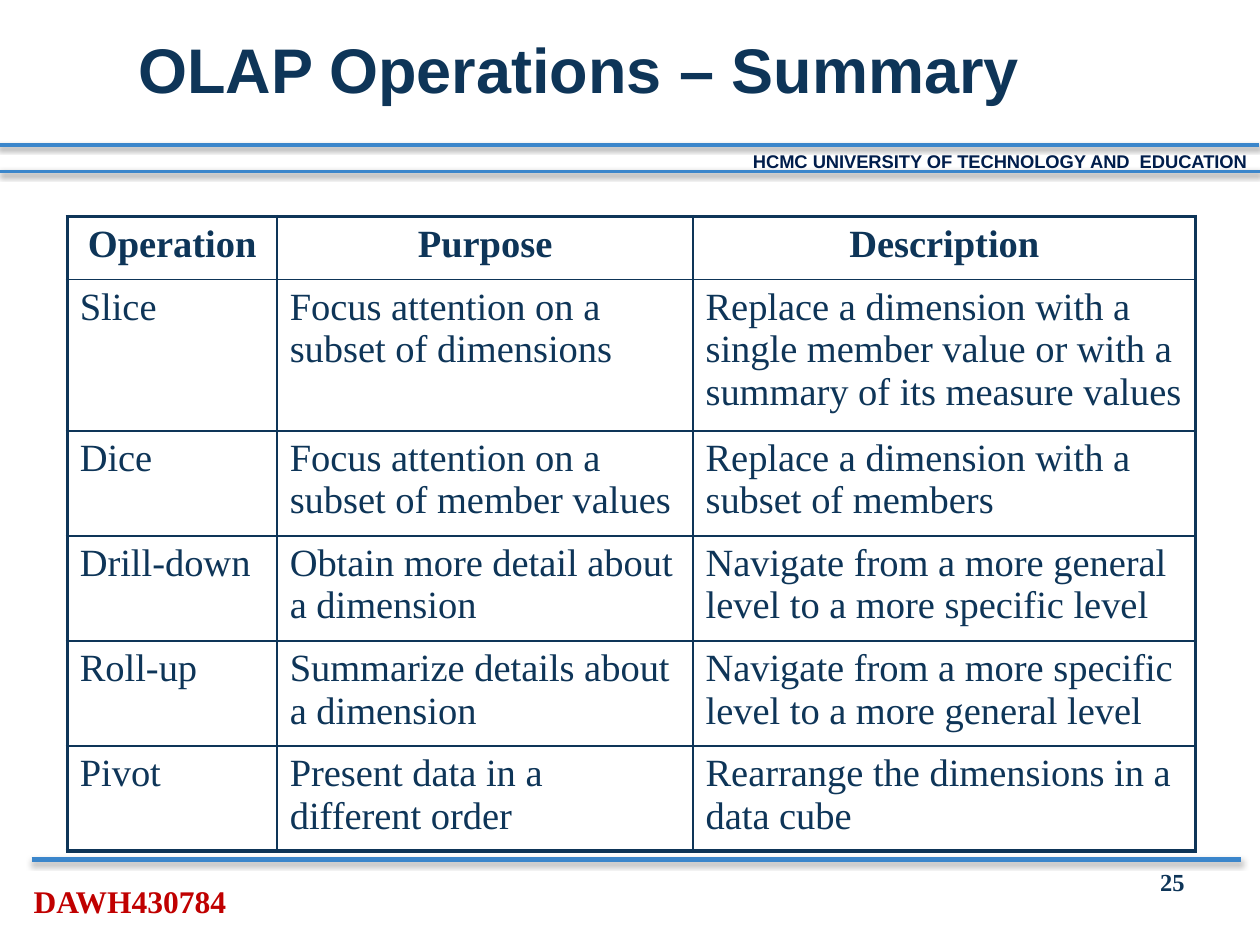
"""Build the OLAP operations summary slide."""
from dataclasses import dataclass
from typing import NamedTuple

from lxml.etree import SubElement
from pptx import Presentation
from pptx.dml.color import RGBColor
from pptx.enum.shapes import MSO_CONNECTOR as Connector
from pptx.enum.text import MSO_ANCHOR as Anchor
from pptx.enum.text import PP_ALIGN as Align
from pptx.oxml.ns import qn
from pptx.slide import Slide
from pptx.table import _Cell as Cell
from pptx.text.text import _Paragraph as Paragraph
from pptx.util import Pt

NAVY = RGBColor(0x0E, 0x35, 0x58)
DEEP_BLUE = RGBColor(0x00, 0x1D, 0x4B)
SKY = RGBColor(0x3B, 0x86, 0xCB)
RED = RGBColor(0xC0, 0x00, 0x00)
WHITE = RGBColor(0xFF, 0xFF, 0xFF)
BLACK = RGBColor(0x00, 0x00, 0x00)
SANS, SERIF = "Arial", "Times New Roman"
OUTER, INNER = 2.25, 1


@dataclass(frozen=True)
class Style:
    size: float
    font: str = SERIF
    color: RGBColor = NAVY
    bold: bool = True
    align: Align = Align.LEFT


@dataclass(frozen=True)
class Label:
    text: str
    left: float
    top: float
    width: float
    height: float
    style: Style
    anchor: Anchor = Anchor.TOP
    margin_top: float = 3.6


class Rule(NamedTuple):
    left: float
    right: float
    y: float
    weight: float
    shadow_opacity: int
    shadow_distance: float


class Operation(NamedTuple):
    name: str
    purpose: str
    description: str


RULES = [
    Rule(-0.7, 719.3, 82.8, 2, 38, 1.6),
    Rule(0, 720, 97.9, 2, 38, 1.6),
    Rule(18, 709.2, 491, 3, 35, 1.8),
]
LABELS = [
    Label("HCMC UNIVERSITY OF TECHNOLOGY AND  EDUCATION", 121, 85.7, 599, 15.8,
          Style(10.5, SANS, DEEP_BLUE, align=Align.RIGHT), margin_top=0),
    Label("DAWH430784", 12.2, 500.4, 144, 28.8, Style(18, color=RED)),
    Label("OLAP Operations – Summary", 72, 0, 612, 77.8, Style(36, SANS), Anchor.MIDDLE),
    Label("25", 516.2, 491.8, 167.8, 37.4, Style(14, align=Align.RIGHT)),
]
OPERATIONS = [
    Operation("Operation", "Purpose", "Description"),
    Operation("Slice", "Focus attention on a subset of dimensions",
              "Replace a dimension with a single member value or with a "
              "summary of its measure values"),
    Operation("Dice", "Focus attention on a subset of member values",
              "Replace a dimension with a subset of members"),
    Operation("Drill-down", "Obtain more detail about a dimension",
              "Navigate from a more general level to a more specific level"),
    Operation("Roll-up", "Summarize details about a dimension",
              "Navigate from a more specific level to a more general level"),
    Operation("Pivot", "Present data in a different order",
              "Rearrange the dimensions in a data cube"),
]
COLUMN_WIDTHS = [120, 237.6, 287.3]
ROW_HEIGHTS = [36, 80.5] + [56] * 4
HEADING = Style(22, align=Align.CENTER)
BODY = Style(22, bold=False)


def apply_style(paragraph: Paragraph, style: Style) -> None:
    """Format a paragraph and its runs."""
    paragraph.alignment = style.align
    for run in paragraph.runs:
        run.font.size = Pt(style.size)
        run.font.name = style.font
        run.font.bold = style.bold
        run.font.color.rgb = style.color


def draw_rule(slide: Slide, rule: Rule) -> None:
    """Draw a horizontal rule with a soft shadow below it."""
    stroke = slide.shapes.add_connector(
        Connector.STRAIGHT, Pt(rule.left), Pt(rule.y), Pt(rule.right), Pt(rule.y))
    stroke.line.color.rgb = SKY
    stroke.line.width = Pt(rule.weight)
    effects = SubElement(stroke._element.spPr, qn("a:effectLst"))
    shadow = SubElement(effects, qn("a:outerShdw"), blurRad=str(Pt(3.1)),
                        dist=str(Pt(rule.shadow_distance)), dir="5400000", rotWithShape="0")
    tint = SubElement(shadow, qn("a:srgbClr"), val=str(BLACK))
    SubElement(tint, qn("a:alpha"), val=str(rule.shadow_opacity * 1000))


def draw_label(slide: Slide, label: Label) -> None:
    """Draw one line of text in its box."""
    frame = slide.shapes.add_textbox(
        Pt(label.left), Pt(label.top), Pt(label.width), Pt(label.height)).text_frame
    frame.word_wrap = True
    frame.vertical_anchor = label.anchor
    frame.margin_top = Pt(label.margin_top)
    frame.text = label.text
    apply_style(frame.paragraphs[0], label.style)


def set_borders(cell: Cell, weights: dict[str, float]) -> None:
    """Give each named side of a cell its line weight."""
    properties = cell._tc.get_or_add_tcPr()
    for side, weight in weights.items():
        border = SubElement(properties, qn(f"a:ln{side}"), w=str(Pt(weight)))
        fill = SubElement(border, qn("a:solidFill"))
        SubElement(fill, qn("a:srgbClr"), val=str(NAVY))


def draw_operations(slide: Slide, operations: list[Operation]) -> None:
    """Draw the table of operations with a heavy outer frame."""
    last_row, last_column = len(operations) - 1, len(COLUMN_WIDTHS) - 1
    table = slide.shapes.add_table(
        len(operations), len(COLUMN_WIDTHS), Pt(38.4), Pt(123.8),
        Pt(sum(COLUMN_WIDTHS)), Pt(sum(ROW_HEIGHTS))).table
    table.first_row = table.horz_banding = False
    for column, width in zip(table.columns, COLUMN_WIDTHS):
        column.width = Pt(width)
    for row, height in zip(table.rows, ROW_HEIGHTS):
        row.height = Pt(height)
    for r, operation in enumerate(operations):
        for c, text in enumerate(operation):
            cell = table.cell(r, c)
            set_borders(cell, {
                "L": OUTER if c == 0 else INNER,
                "R": OUTER if c == last_column else INNER,
                "T": OUTER if r == 0 else INNER,
                "B": OUTER if r == last_row else INNER,
            })
            cell.fill.solid()
            cell.fill.fore_color.rgb = WHITE
            cell.text_frame.text = text
            apply_style(cell.text_frame.paragraphs[0], HEADING if r == 0 else BODY)


def main() -> None:
    """Assemble and save the slide."""
    deck = Presentation()
    deck.slide_width, deck.slide_height = Pt(720), Pt(540)
    slide = deck.slides.add_slide(deck.slide_layouts[6])
    for rule in RULES:
        draw_rule(slide, rule)
    for label in LABELS:
        draw_label(slide, label)
    draw_operations(slide, OPERATIONS)
    deck.save("out.pptx")


if __name__ == "__main__":
    main()
